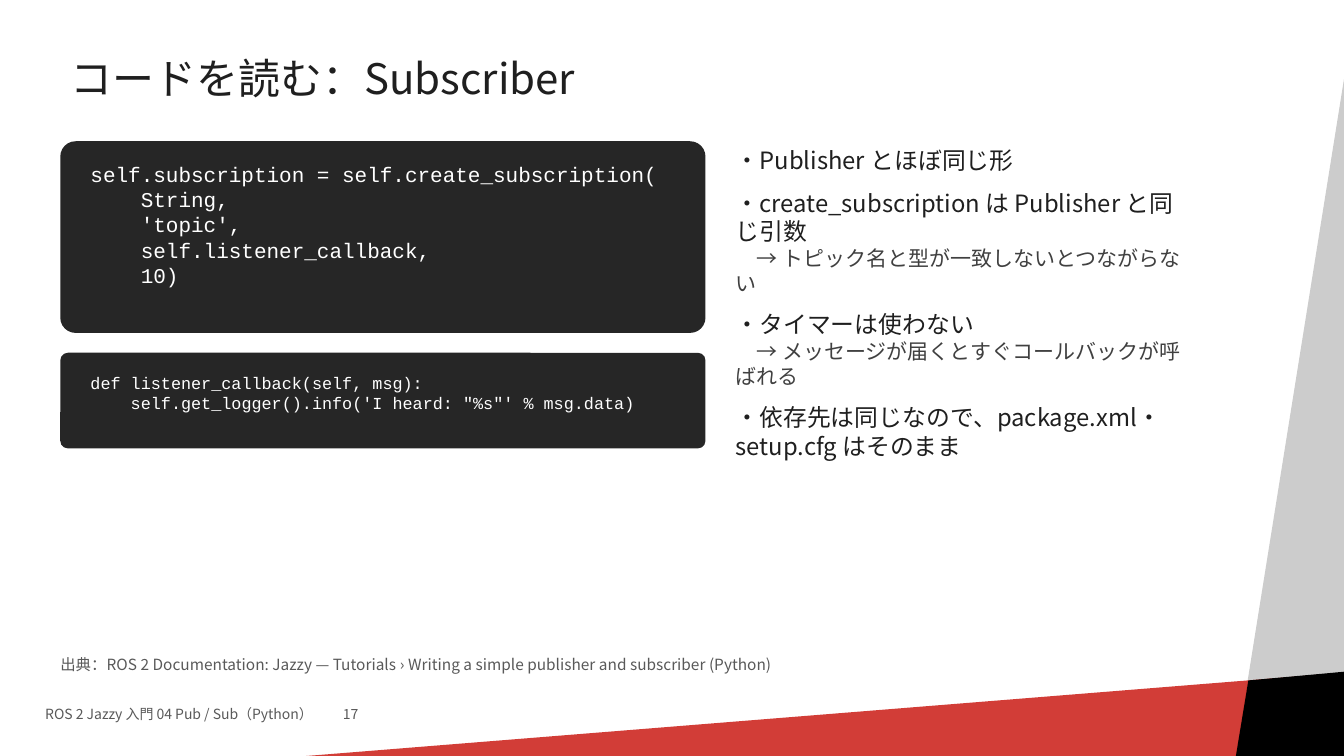
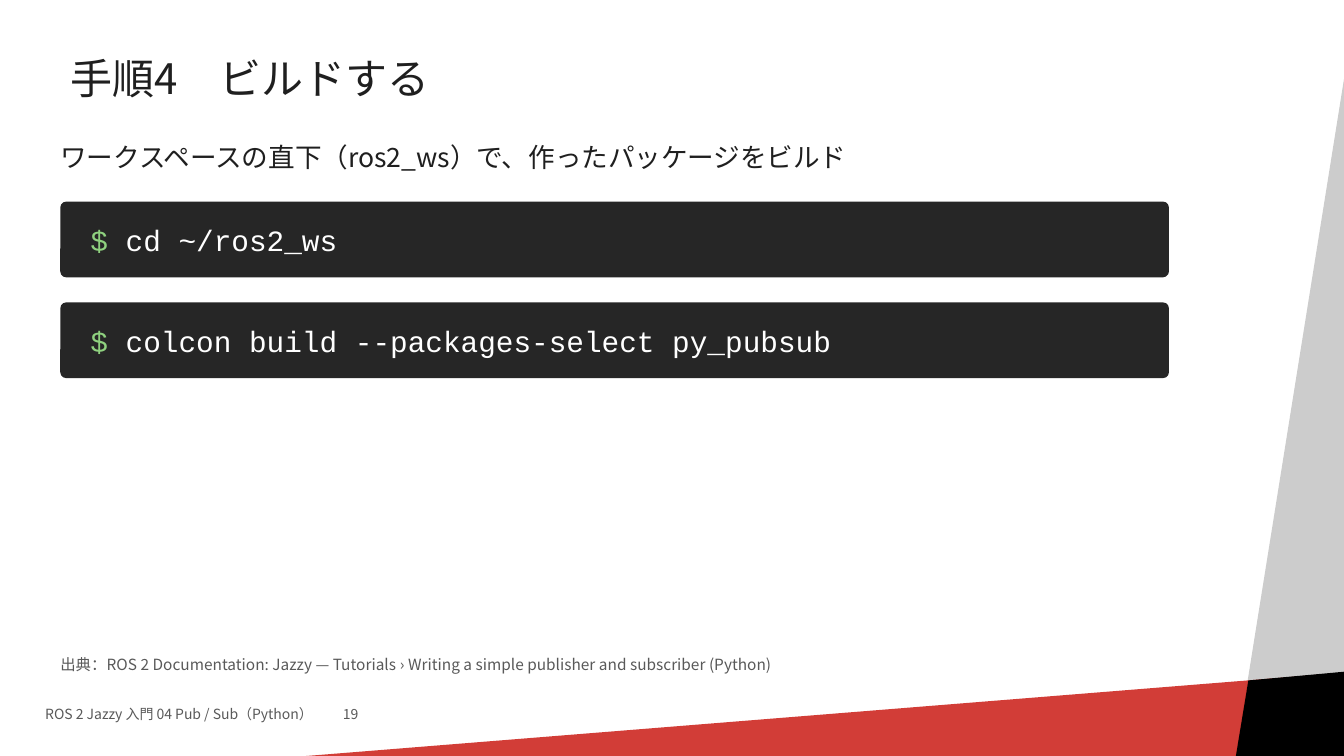
from dataclasses import dataclass

from lxml import etree
from pptx import Presentation
from pptx.dml.color import RGBColor
from pptx.enum.shapes import MSO_SHAPE
from pptx.enum.text import MSO_ANCHOR, MSO_AUTO_SIZE, PP_ALIGN
from pptx.oxml.ns import qn
from pptx.util import Cm, Pt

RECT = MSO_SHAPE.RECTANGLE
ROUNDED = MSO_SHAPE.ROUNDED_RECTANGLE
PARALLELOGRAM = MSO_SHAPE.PARALLELOGRAM
MIDDLE = MSO_ANCHOR.MIDDLE
TOP = MSO_ANCHOR.TOP
LEFT = PP_ALIGN.LEFT
FIXED = MSO_AUTO_SIZE.NONE
GROW = MSO_AUTO_SIZE.SHAPE_TO_FIT_TEXT
TITLE_ONLY = 5


@dataclass(frozen=True)
class Theme:
    sans: str = "Noto Sans CJK JP"
    mono: str = "Courier New"
    ink: str = "1F1F1F"
    detail: str = "404040"
    muted: str = "595959"
    card: str = "262626"
    code: str = "FFFFFF"
    prompt: str = "8FD17F"
    gray: str = "CCCCCC"
    red: str = "CB1C14"
    black: str = "000000"
    title_size: int = 30
    command_size: int = 21
    lead_size: int = 19
    body_size: int = 17
    detail_size: int = 15
    code_size: int = 15
    small_code_size: int = 12
    source_size: int = 11
    footer_size: int = 10


T = Theme()

TITLE_BOX = (1.52, 0.89, 26.42, 2.29)
FOOTER_BOX = (1.14, 17.78, 11.43, 0.76)
SOURCE_BOX = (1.52, 16.51, 24.13, 0.76)
PAGE_TAB = 7.5
CARD_PAD_X, CARD_PAD_Y = 0.76, 0.51
COMMAND_HEIGHT, COMMAND_PITCH = 1.91, 2.54

FOOTER = "ROS 2 Jazzy 入門 04 Pub / Sub（Python）"
SOURCE = ("出典：ROS 2 Documentation: Jazzy — Tutorials › "
          "Writing a simple publisher and subscriber (Python)")

SUBSCRIPTION_CODE = """self.subscription = self.create_subscription(
    String,
    'topic',
    self.listener_callback,
    10)"""

CALLBACK_CODE = """def listener_callback(self, msg):
    self.get_logger().info('I heard: "%s"' % msg.data)"""

POINTS = [
    ("・Publisher とほぼ同じ形", None),
    ("・create_subscription は Publisher と同じ引数",
     "→ トピック名と型が一致しないとつながらない"),
    ("・タイマーは使わない",
     "→ メッセージが届くとすぐコールバックが呼ばれる"),
    ("・依存先は同じなので、package.xml・setup.cfg はそのまま", None),
]


def lengths(box):
    return [Cm(v) for v in box]


def add_run(p, text, size, color, font=T.sans):
    r = p.add_run()
    r.text = text
    r.font.size = Pt(size)
    r.font.color.rgb = RGBColor.from_string(color)
    r.font.name = font
    etree.SubElement(r.font._element, qn("a:ea")).set("typeface", font)


def add_text(s, box):
    sp = s.shapes.add_textbox(*lengths(box))
    tf = sp.text_frame
    tf.word_wrap = True
    tf.auto_size = GROW
    tf.vertical_anchor = TOP
    tf.margin_left = tf.margin_right = tf.margin_top = tf.margin_bottom = 0
    return tf


def next_paragraph(tf):
    p = tf.paragraphs[0]
    return tf.add_paragraph() if p.runs else p


def add_filled(s, kind, box, color):
    sp = s.shapes.add_shape(kind, *lengths(box))
    sp.shadow.inherit = False
    sp.fill.solid()
    sp.fill.fore_color.rgb = RGBColor.from_string(color)
    sp.line.fill.background()
    return sp


def add_bands(s):
    gray = add_filled(s, RECT, (15.98, 15.93, 34.72, 3.99), T.gray)
    gray.rotation = 279.1
    red = add_filled(s, RECT, (1.5, 18.16, 34.72, 2.92), T.red)
    red.rotation = 355.4
    rgb = red.element.spPr.find(".//" + qn("a:srgbClr"))
    etree.SubElement(rgb, qn("a:alpha")).set("val", "85000")
    corner = add_filled(s, PARALLELOGRAM, (30.81, 16.99, 4.88, 3), T.black)
    corner.rotation = 354.8
    corner.adjustments[0] = 0.26
    tree = s.slide_layout.shapes.element
    for i, sp in enumerate((gray, red, corner)):
        sp.element.nvSpPr.cNvPr.set("id", str(100 + i))
        tree.insert(2 + i, sp.element)


def add_title(s, text):
    sp = s.shapes.title
    sp.left, sp.top, sp.width, sp.height = lengths(TITLE_BOX)
    tf = sp.text_frame
    tf.word_wrap = True
    tf.auto_size = FIXED
    tf.vertical_anchor = MIDDLE
    p = tf.paragraphs[0]
    p.alignment = LEFT
    p.line_spacing = 0.9
    add_run(p, text, T.title_size, T.ink)


def add_footer(s, page):
    p = add_text(s, FOOTER_BOX).paragraphs[0]
    tabs = etree.SubElement(p._p.get_or_add_pPr(), qn("a:tabLst"))
    etree.SubElement(tabs, qn("a:tab"), pos=str(Cm(PAGE_TAB)), algn="l")
    add_run(p, f"{FOOTER}\t{page}", T.footer_size, T.muted)
    p = add_text(s, SOURCE_BOX).paragraphs[0]
    add_run(p, SOURCE, T.source_size, T.muted)


def add_slide(prs, title, page):
    s = prs.slides.add_slide(prs.slide_layouts[TITLE_ONLY])
    if len(prs.slides) == 1:
        add_bands(s)
    add_title(s, title)
    add_footer(s, page)
    return s


def add_card(s, box):
    left, top, width, height = box
    card = add_filled(s, ROUNDED, box, T.card)
    card.adjustments[0] = 0.08
    return add_text(s, (left + CARD_PAD_X, top + CARD_PAD_Y,
                        width - 2 * CARD_PAD_X, height - 2 * CARD_PAD_Y))


def add_code(s, box, code, size):
    tf = add_card(s, box)
    for line in code.splitlines():
        add_run(next_paragraph(tf), line, size, T.code, T.mono)


def add_points(s, box, points):
    tf = add_text(s, box)
    for i, (point, detail) in enumerate(points):
        p = next_paragraph(tf)
        if i:
            p.space_before = Pt(10)
        add_run(p, point, T.body_size, T.ink)
        if detail:
            p = next_paragraph(tf)
            p._p.get_or_add_pPr().set("indent", str(Pt(T.detail_size)))
            add_run(p, detail, T.detail_size, T.detail)


def add_commands(s, box, commands):
    left, top, width = box
    for i, command in enumerate(commands):
        tf = add_card(s, (left, top + i * COMMAND_PITCH, width, COMMAND_HEIGHT))
        p = tf.paragraphs[0]
        add_run(p, "$ ", T.command_size, T.prompt, T.mono)
        add_run(p, command, T.command_size, T.code, T.mono)


def subscriber_slide(prs):
    s = add_slide(prs, "コードを読む：Subscriber", 17)
    add_code(s, (1.52, 3.56, 16.26, 4.83), SUBSCRIPTION_CODE, T.code_size)
    add_code(s, (1.52, 8.89, 16.26, 2.41), CALLBACK_CODE, T.small_code_size)
    add_points(s, (18.54, 3.68, 11.43, 12.45), POINTS)


def build_step_slide(prs):
    s = add_slide(prs, "手順4　ビルドする", 19)
    p = add_text(s, (1.52, 3.56, 27.94, 1.27)).paragraphs[0]
    add_run(p, "ワークスペースの直下（ros2_ws）で、作ったパッケージをビルド",
            T.lead_size, T.ink)
    add_commands(s, (1.52, 5.08, 27.94),
                 ["cd ~/ros2_ws", "colcon build --packages-select py_pubsub"])


def main():
    prs = Presentation()
    prs.slide_width, prs.slide_height = Cm(33.87), Cm(19.05)
    subscriber_slide(prs)
    build_step_slide(prs)
    prs.save("out.pptx")


if __name__ == "__main__":
    main()
